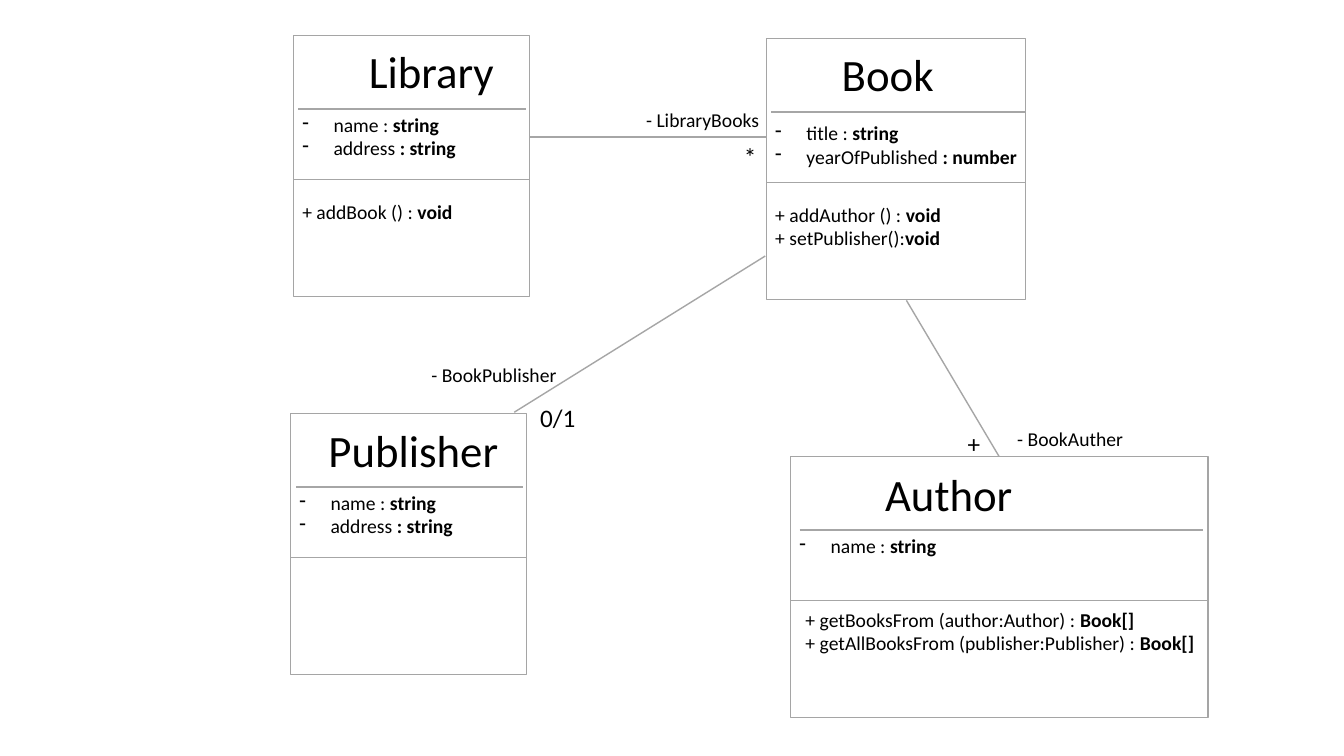
from lxml import etree
from pptx import Presentation
from pptx.dml.color import RGBColor
from pptx.enum.shapes import MSO_CONNECTOR as CONN, MSO_SHAPE as SHAPE
from pptx.enum.text import MSO_AUTO_SIZE as FIT
from pptx.oxml.ns import qn
from pptx.util import Inches, Pt


def add_text(shapes, lines, x, y, w, h, size=14, wrap=False, bullet=False):
    tf = shapes.add_textbox(Inches(x), Inches(y), Inches(w), Inches(h)).text_frame
    tf.word_wrap = wrap
    tf.auto_size = FIT.SHAPE_TO_FIT_TEXT
    for i, parts in enumerate(lines):
        p = tf.paragraphs[0] if i == 0 else tf.add_paragraph()
        if bullet:
            pPr = p._p.get_or_add_pPr()
            pPr.set("marL", str(Inches(0.31)))
            pPr.set("indent", str(-Inches(0.31)))
            etree.SubElement(pPr, qn("a:buFontTx"))
            etree.SubElement(pPr, qn("a:buChar")).set("char", "-")
        for bold, text in enumerate(parts):
            r = p.add_run()
            r.text = text
            r.font.name = "Calibri"
            r.font.size = Pt(size)
            r.font.bold = bool(bold)
            r.font.color.rgb = RGBColor.from_string("000000")


def add_line(shapes, x1, y1, x2, y2):
    c = shapes.add_connector(CONN.STRAIGHT, Inches(x1), Inches(y1), Inches(x2), Inches(y2))
    c.line.color.rgb = RGBColor.from_string("A6A6A6")
    c.line.width = Pt(1)
    etree.SubElement(c._element.spPr, qn("a:effectLst"))


prs = Presentation()
prs.slide_width, prs.slide_height = Inches(13.33), Inches(7.5)
s = prs.slides.add_slide(prs.slide_layouts[6])

name = ("name : ", "string")
address = ("address", " : string")
classes = [
    dict(box=(2.91, 0.35, 2.34), title="Library", title_at=(3.56, 0.38, 1.46), rule=(2.96, 5.22),
         fields=[name, address], fields_at=(2.9, 1.07, 1.74, 0.81),
         methods=[("+ addBook () : ", "void")], methods_at=(2.9, 1.93, 1.7, 0.34)),
    dict(box=(7.6, 0.38, 2.57), title="Book", title_at=(8.25, 0.41, 1.12), rule=(7.65, 10.17),
         fields=[("title : ", "string"), ("yearOfPublished", " : number")],
         fields_at=(7.59, 1.15, 2.67, 0.81),
         methods=[("+ addAuthor () : ", "void"), ("+ setPublisher():", "void")],
         methods_at=(7.59, 1.96, 1.88, 0.57)),
    dict(box=(7.84, 4.53, 4.14), title="Author", title_at=(8.68, 4.58, 2.62), rule=(7.93, 11.93),
         fields=[name], fields_at=(7.83, 5.25, 2.78, 0.34),
         methods=[("+ getBooksFrom (author:Author) : ", "Book[]"),
                  ("+ getAllBooksFrom (publisher:Publisher) : ", "Book[]")],
         methods_at=(7.89, 5.98, 4.09, 0.81)),
    dict(box=(2.88, 4.1, 2.34), title="Publisher", title_at=(3.16, 4.14, 1.9), rule=(2.94, 5.19),
         fields=[name, address], fields_at=(2.87, 4.82, 1.75, 0.81), methods=[]),
]

for cls in classes:
    shapes = s.shapes.add_group_shape().shapes
    x, y, w = cls["box"]
    sp = shapes.add_shape(SHAPE.RECTANGLE, Inches(x), Inches(y), Inches(w), Inches(2.59))
    sp.shadow.inherit = False
    sp.fill.solid()
    sp.fill.fore_color.rgb = RGBColor.from_string("FFFFFF")
    sp.line.color.rgb = RGBColor.from_string("A5A5A5")
    sp.line.width = Pt(1)
    add_text(shapes, [(cls["title"],)], *cls["title_at"], 0.64, size=32)
    left, right = cls["rule"]
    add_line(shapes, left, y + 0.73, right, y + 0.73)
    add_text(shapes, cls["fields"], *cls["fields_at"], bullet=True, wrap=cls["title"] == "Book")
    add_line(shapes, x, y + 1.43, x + w, y + 1.43)
    if cls["methods"]:
        add_text(shapes, cls["methods"], *cls["methods_at"])

associations = [
    ((5.26, 1.36, 7.6, 1.36), "- LibraryBooks", (6.31, 1.02), "*", (7.28, 1.35, 0.33)),
    ((5.1, 4.09, 7.59, 2.54), "- BookPublisher", (4.18, 3.55), "0/1", (5.26, 3.94, 0.56)),
    ((9.91, 4.53, 8.99, 2.98), "- BookAuther", (9.99, 4.19), "+", (9.5, 4.2, 0.33)),
]
for ends, role, role_at, count, count_at in associations:
    add_line(s.shapes, *ends)
    add_text(s.shapes, [(count,)], *count_at, 0.4, size=18)
    add_text(s.shapes, [(role,)], *role_at, 2.07, 0.34, wrap=True)

prs.save("out.pptx")
